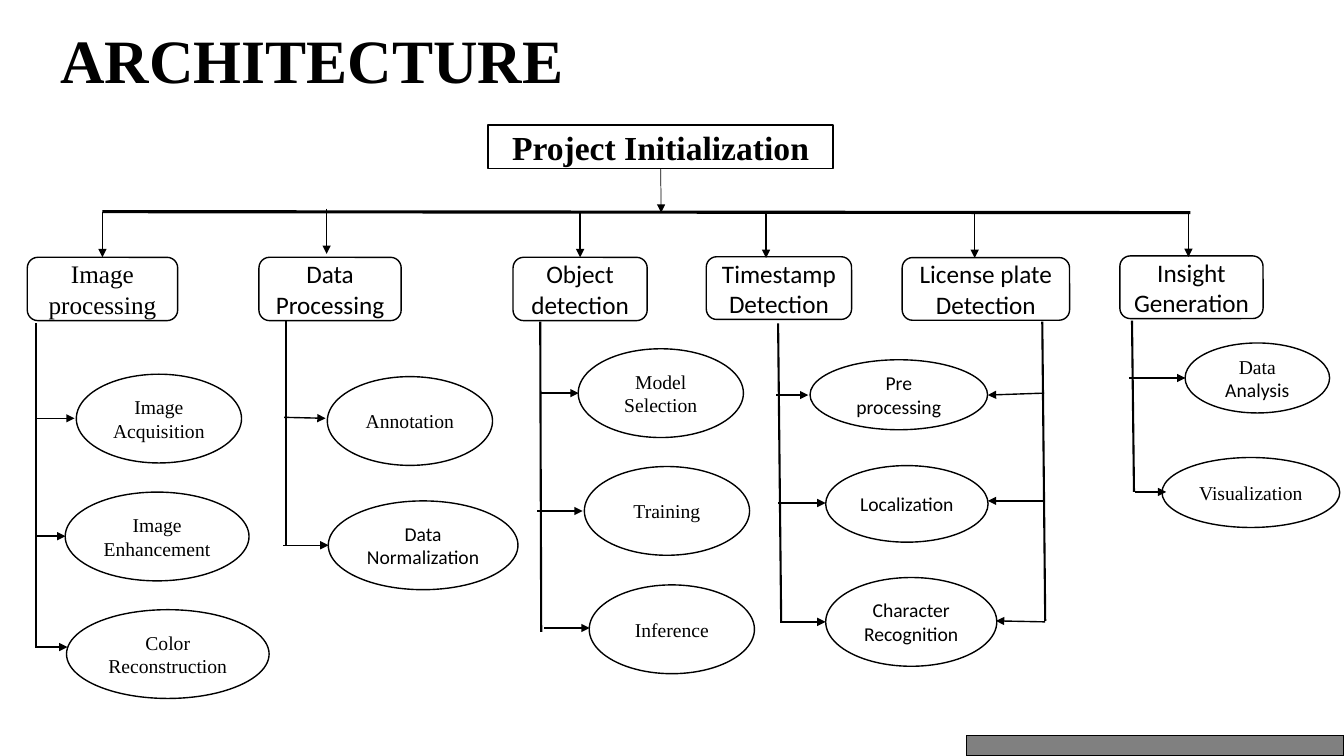
from lxml.etree import SubElement
from pptx import Presentation
from pptx.dml.color import RGBColor
from pptx.enum.shapes import MSO_CONNECTOR, MSO_SHAPE
from pptx.enum.text import MSO_ANCHOR, PP_ALIGN
from pptx.oxml.ns import qn
from pptx.util import Pt

BLACK = RGBColor(0, 0, 0)
WHITE = RGBColor(255, 255, 255)
GREY = RGBColor(0x80, 0x80, 0x80)
SERIF = "Times New Roman"
SANS = "Calibri"
DROP_LENGTH = 32.4

# label, font, (left, top, width, height), (x, y) where the drop arrow starts,
# whether the drop ends at the middle of the box top, stem (x1, y1, x2, y2)
BRANCHES = [
    ("Image processing", SERIF, (19.5, 183.8, 107.4, 45.2), (73.2, 151.2), True,
     (25.9, 231, 25.9, 462.2)),
    ("Data Processing", SANS, (185, 183.8, 101.6, 45.2), (233.3, 149), False,
     (204.5, 229, 204.5, 389.5)),
    ("Object detection", SANS, (366.5, 183.8, 95.8, 45.2), (414.4, 151.2), True,
     (385.9, 229.7, 386.6, 451.4)),
    ("Timestamp Detection", SANS, (504.5, 183.4, 103.8, 44.8), (547.2, 151.9), False,
     (555.8, 231, 558, 445)),
    ("License plate Detection", SANS, (644.4, 184, 119.6, 44.8), (696.2, 151.9), False,
     (744.5, 229.7, 746.6, 443.5)),
    ("Insight Generation", SANS, (799.9, 182.8, 102.3, 44.8), (848.9, 151.2), False,
     (808.6, 229, 810, 351.4)),
]

# label runs, (left, top, width, height), arrows (x1, y1, x2, y2)
STEPS = [
    ([("Image Acquisition", SERIF)], (54.5, 267.3, 118, 63.4),
     [(25.2, 298.8, 53.3, 298.8)]),
    ([("Image Enhancement", SERIF)], (46.6, 351.5, 131.3, 63.4),
     [(25.9, 383, 46.8, 383)]),
    ([("Color Reconstruction", SERIF)], (47.5, 435.5, 144.7, 63.4),
     [(25.2, 462.2, 48.2, 462.2)]),
    ([("Annotation", SERIF)], (233.8, 269, 118, 63.4),
     [(203, 298.1, 232.6, 298.8)]),
    ([("Data Normalization", SANS)], (234.5, 357.8, 135.5, 63.4),
     [(202.3, 389.5, 234.7, 389.5)]),
    ([("Model Selection", SERIF)], (413, 249.1, 118, 63.4),
     [(385.9, 280.8, 413.3, 280.8)]),
    ([("Training", SERIF)], (417.4, 333.2, 118, 63.4),
     [(383.8, 365, 416.2, 365)]),
    ([("Inference", SERIF)], (420.9, 417.8, 118, 63.4),
     [(388.8, 448.6, 421.2, 448.6)]),
    ([("Pre processing", SANS)], (578.6, 257, 126.8, 50),
     [(554.4, 282.2, 577.4, 282.2), (745.9, 280.8, 705.6, 282.2)]),
    ([("Localization", SANS)], (589.8, 332.6, 116, 54.7),
     [(555.8, 359.3, 589.7, 359.3), (746.6, 357.8, 705.6, 357.8)]),
    ([("Character Recognition", SANS)], (589.8, 412.5, 122.2, 63.4),
     [(557.3, 444.2, 589.7, 444.2), (746.6, 444.2, 711.4, 443.5)]),
    ([("Data ", SERIF), ("Analysis", SANS)], (846.5, 245, 103.2, 50),
     [(806.4, 270, 846.7, 270)]),
    ([("Visualization", SERIF)], (830, 326.8, 127, 50),
     [(810.7, 351.4, 833, 351.4)]),
]


def add_run(paragraph, text, *, font, size, bold=False):
    run = paragraph.add_run()
    run.text = text
    run.font.name = font
    run.font.size = Pt(size)
    run.font.bold = bold
    run.font.color.rgb = BLACK


class Diagram:
    def __init__(self, slide):
        self.shapes = slide.shapes
        self.ink = BLACK
        self.outline = 1

    def node(self, preset, box, runs=(), *, size=18, bold=False, fill=WHITE):
        node = self.shapes.add_shape(preset, *map(Pt, box))
        node.shadow.inherit = False
        node.fill.solid()
        node.fill.fore_color.rgb = fill
        node.line.color.rgb = self.ink
        node.line.width = Pt(self.outline)
        frame = node.text_frame
        frame.word_wrap = True
        frame.vertical_anchor = MSO_ANCHOR.MIDDLE
        paragraph = frame.paragraphs[0]
        paragraph.alignment = PP_ALIGN.CENTER
        for text, font in runs:
            add_run(paragraph, text, font=font, size=size, bold=bold)
        return node

    def line(self, ends, *, width=1, arrow=False):
        line = self.shapes.add_connector(MSO_CONNECTOR.STRAIGHT, *map(Pt, ends))
        line.line.color.rgb = self.ink
        line.line.width = Pt(width)
        properties = line.element.spPr
        if arrow:
            SubElement(properties.find(qn("a:ln")), qn("a:tailEnd"), type="triangle")
        SubElement(properties, qn("a:effectLst"))
        return line

    def heading(self, text, box):
        frame = self.shapes.add_textbox(*map(Pt, box)).text_frame
        frame.word_wrap = True
        add_run(frame.paragraphs[0], text, font=SERIF, size=44, bold=True)


def main():
    deck = Presentation()
    deck.slide_width, deck.slide_height = Pt(960), Pt(540)
    diagram = Diagram(deck.slides.add_slide(deck.slide_layouts[6]))

    diagram.heading("ARCHITECTURE", (36, 12.2, 494.6, 60.5))
    root = diagram.node(MSO_SHAPE.RECTANGLE, (348.7, 89.3, 246.4, 31),
                        [("Project Initialization", SERIF)], size=24, bold=True)
    diagram.line((73.2, 151.2, 850.3, 151.9), width=2.25)
    root_arrow = diagram.line((471.9, 120.3, 472.3, 151.9), width=0.5, arrow=True)
    root_arrow.begin_connect(root, 2)

    for label, font, box, (x, y), centred, stem in BRANCHES:
        branch = diagram.node(MSO_SHAPE.ROUNDED_RECTANGLE, box, [(label, font)])
        drop = diagram.line((x, y, x, y + DROP_LENGTH), arrow=True)
        if centred:
            drop.end_connect(branch, 0)
        diagram.line(stem, width=1.5)

    for runs, box, arrows in STEPS:
        diagram.node(MSO_SHAPE.OVAL, box, runs, size=14)
        for arrow in arrows:
            diagram.line(arrow, arrow=True)

    diagram.node(MSO_SHAPE.RECTANGLE, (690.5, 525.6, 269.5, 14.4), fill=GREY)
    deck.save("out.pptx")


if __name__ == "__main__":
    main()
